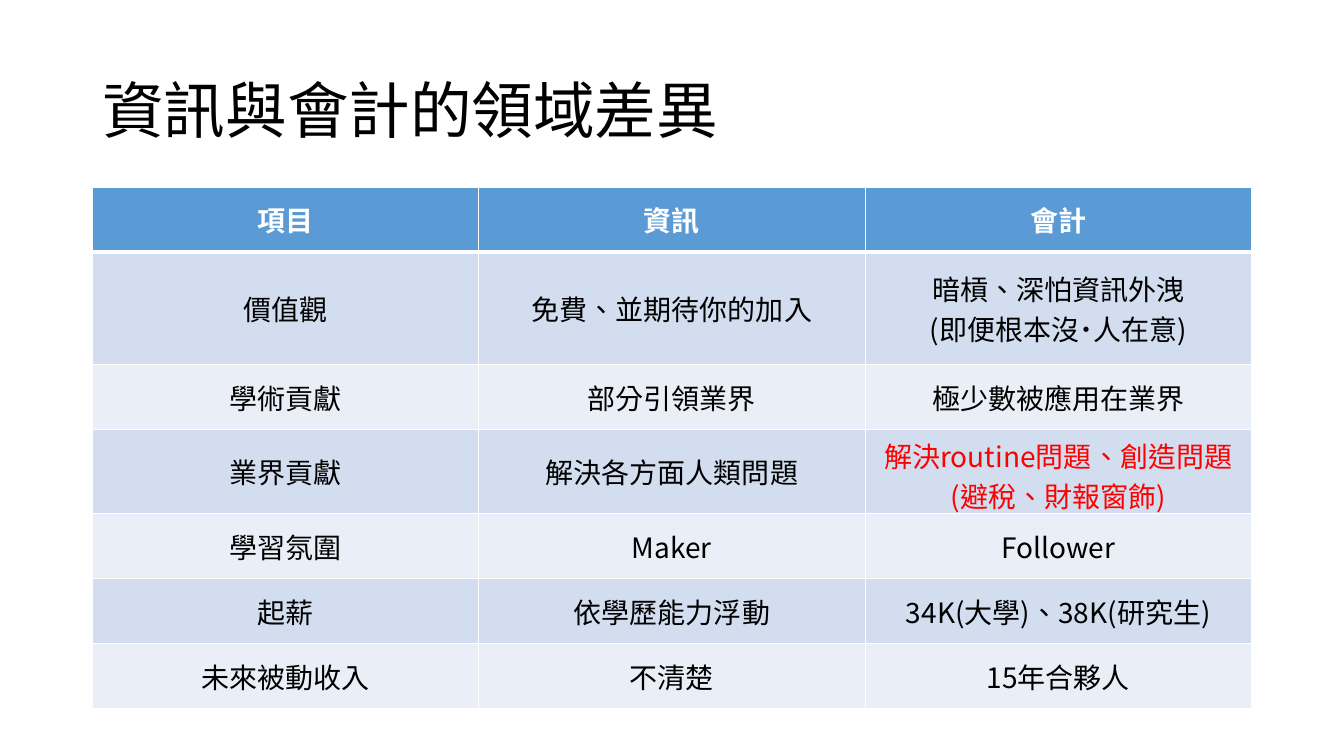
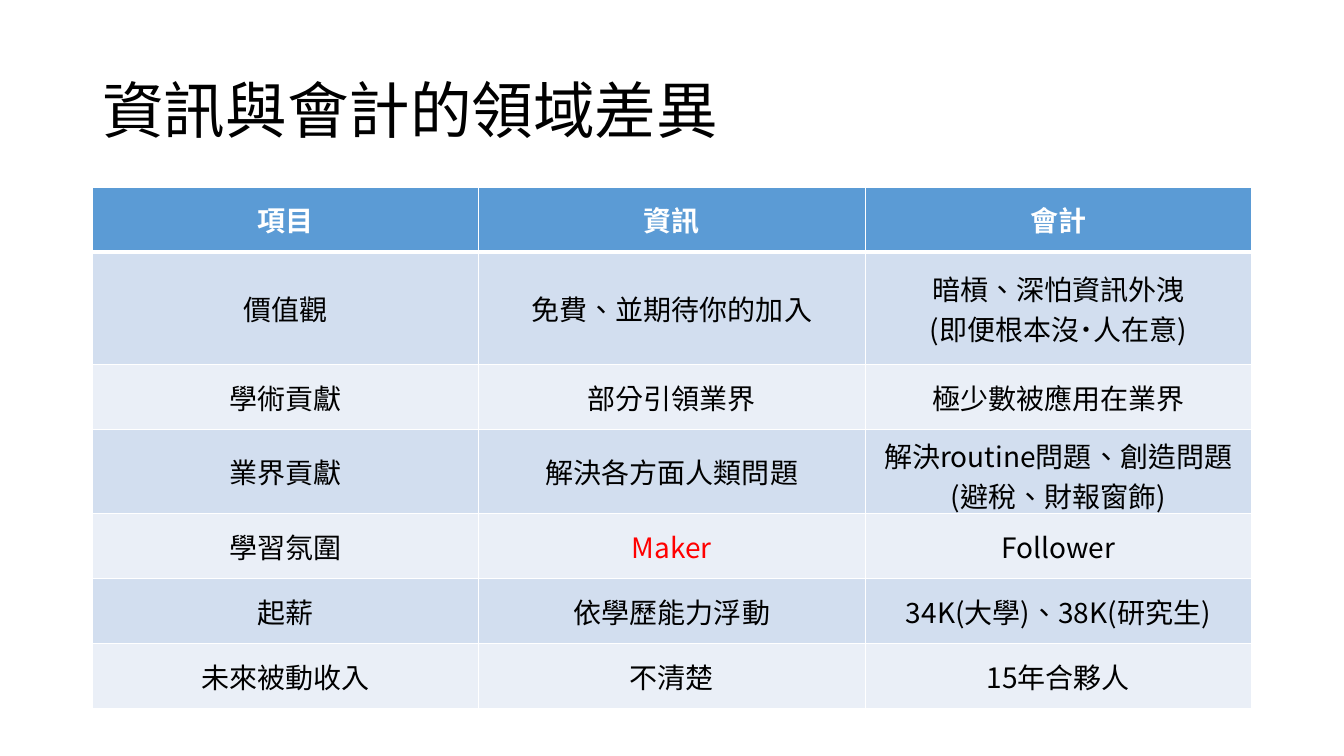
from dataclasses import dataclass

from lxml.etree import SubElement
from pptx import Presentation
from pptx.dml.color import RGBColor as Rgb
from pptx.enum.text import MSO_ANCHOR as Anchor, PP_ALIGN as Align
from pptx.oxml.ns import qn
from pptx.util import Emu, Pt


@dataclass(frozen=True)
class Theme:
    """Colours, type sizes and line widths shared by the slides."""

    font: str = "Noto Sans CJK SC"
    language: str = "zh-TW"
    white: str = "FFFFFF"
    text: str = "000000"
    highlight: str = "FF0000"
    header: str = "5B9BD5"
    bands: tuple = ("D2DEEF", "EAEFF7")
    title_size: int = 44
    table_size: int = 20
    grid_line: int = 1
    header_line: int = 3


THEME = Theme()
SLIDE_SIZE = (1280, 720)
TITLE_BOX = (88, 38, 1104, 140)
TABLE_LEFT, TABLE_TOP, COLUMN_WIDTH = 88, 178, 368
ROW_HEIGHTS = (62, 107, 62, 80, 62, 62, 62)
TITLE = "資訊與會計的領域差異"
ROWS = (
    ("項目", "資訊", "會計"),
    ("價值觀", "免費、並期待你的加入", "暗槓、深怕資訊外洩\v(即便根本沒˙人在意)"),
    ("學術貢獻", "部分引領業界", "極少數被應用在業界"),
    ("業界貢獻", "解決各方面人類問題", "解決routine問題、創造問題(避稅、財報窗飾)"),
    ("學習氛圍", "Maker", "Follower"),
    ("起薪", "依學歷能力浮動", "34K(大學)、38K(研究生)"),
    ("未來被動收入", "不清楚", "15年合夥人"),
)
HIGHLIGHTED_CELLS = ((3, 2), (4, 1))


def px(length):
    """Turn a length in px into EMU."""
    return Emu(length * 9525)


def write_text(paragraph, text, size, color, bold=False):
    """Fill a paragraph with text in the theme font."""
    paragraph.text = text
    values = {"name": THEME.font, "size": Pt(size), "bold": bold}
    for run in paragraph.runs:
        for name, value in values.items():
            setattr(run.font, name, value)
        run.font.color.rgb = Rgb.from_string(color)
        properties = run.font._element
        properties.set("lang", THEME.language)
        east_asian = SubElement(properties, qn("a:ea"))
        east_asian.set("typeface", THEME.font)


def add_title(slide, text):
    """Add the slide title."""
    shape = slide.shapes.add_textbox(*map(px, TITLE_BOX))
    frame = shape.text_frame
    frame.word_wrap = True
    frame.vertical_anchor = Anchor.MIDDLE
    paragraph = frame.paragraphs[0]
    paragraph.line_spacing = 0.9
    write_text(paragraph, text, THEME.title_size, THEME.text)


def set_borders(cell, top, bottom):
    """Draw white borders round a cell, with widths in points."""
    properties = cell._tc.get_or_add_tcPr()
    widths = {"lnL": THEME.grid_line, "lnR": THEME.grid_line, "lnT": top, "lnB": bottom}
    for position, (side, width) in enumerate(widths.items()):
        line = SubElement(properties, qn(f"a:{side}"), w=str(Pt(width)))
        fill = SubElement(line, qn("a:solidFill"))
        SubElement(fill, qn("a:srgbClr"), val=THEME.white)
        properties.insert(position, line)


def style_cell(cell, row, text, highlighted):
    """Fill, border and write one cell according to its row."""
    is_header = row == 0
    fill = THEME.header if is_header else THEME.bands[(row - 1) % 2]
    color = THEME.white if is_header else THEME.text
    cell.fill.solid()
    cell.fill.fore_color.rgb = Rgb.from_string(fill)
    set_borders(
        cell,
        top=THEME.header_line if row == 1 else THEME.grid_line,
        bottom=THEME.header_line if is_header else THEME.grid_line,
    )
    cell.vertical_anchor = Anchor.MIDDLE
    paragraph = cell.text_frame.paragraphs[0]
    paragraph.alignment = Align.CENTER
    write_text(paragraph, text, THEME.table_size,
               THEME.highlight if highlighted else color, is_header)


def add_comparison(slide, rows, highlighted_cell):
    """Add the comparison table with one cell in the highlight colour."""
    columns = len(rows[0])
    box = (TABLE_LEFT, TABLE_TOP, COLUMN_WIDTH * columns, sum(ROW_HEIGHTS))
    table = slide.shapes.add_table(len(rows), columns, *map(px, box)).table
    table.first_row = table.horz_banding = False
    for column in table.columns:
        column.width = px(COLUMN_WIDTH)
    for row, (texts, height) in enumerate(zip(rows, ROW_HEIGHTS)):
        table.rows[row].height = px(height)
        for column, text in enumerate(texts):
            style_cell(table.cell(row, column), row, text,
                       (row, column) == highlighted_cell)


def main():
    """Build one slide for each highlighted cell."""
    presentation = Presentation()
    presentation.slide_width, presentation.slide_height = map(px, SLIDE_SIZE)
    blank = presentation.slide_layouts[6]
    for highlighted_cell in HIGHLIGHTED_CELLS:
        slide = presentation.slides.add_slide(blank)
        add_title(slide, TITLE)
        add_comparison(slide, ROWS, highlighted_cell)
    presentation.save("out.pptx")


if __name__ == "__main__":
    main()
